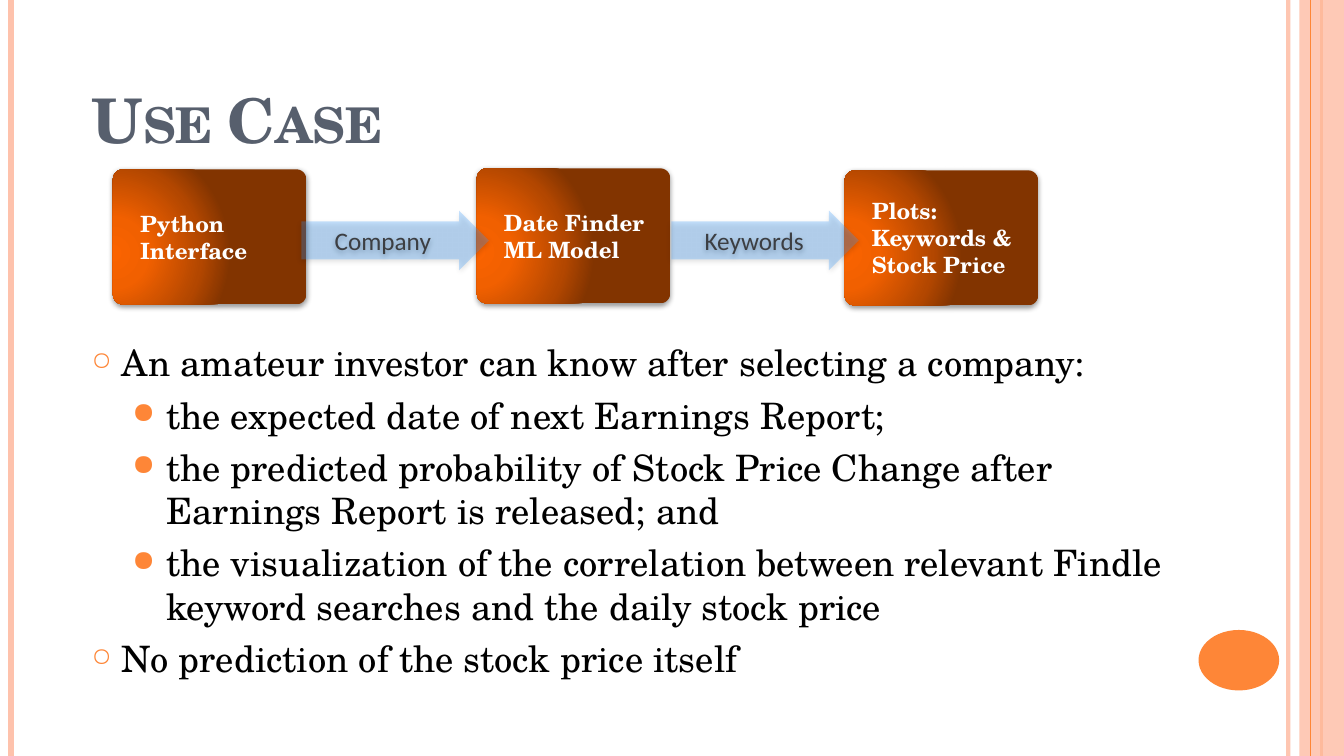
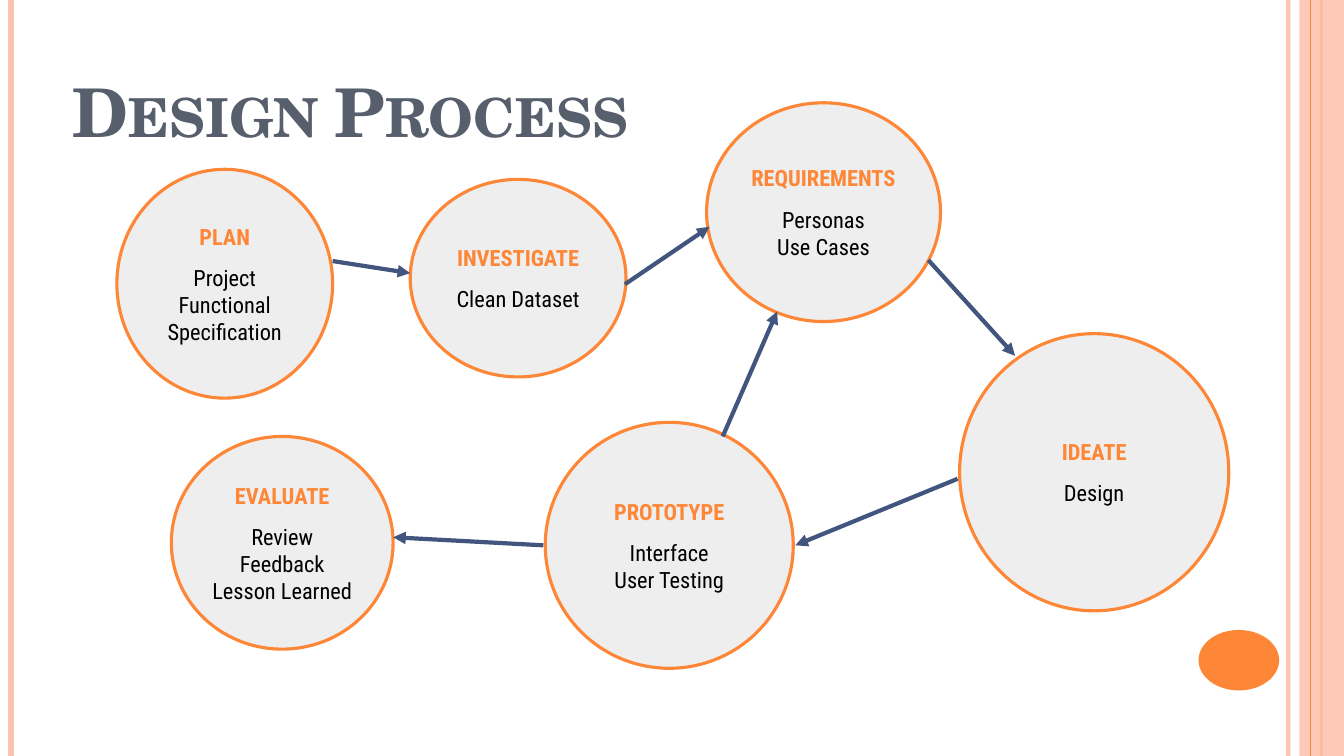
from lxml import etree
from pptx import Presentation, util as u
from pptx.dml.color import RGBColor
from pptx.enum import shapes, text
from pptx.oxml import parse_xml
from pptx.oxml.ns import qn

ORANGE = RGBColor(0xFE, 0x86, 0x37)
PEACH = RGBColor(0xFE, 0xC2, 0xAC)
SLATE = RGBColor(0x57, 0x5F, 0x6D)
NAVY = RGBColor(0x42, 0x55, 0x7F)
BLUE = RGBColor(0x33, 0x99, 0xFF)
GREY = RGBColor(0xEE, 0xEE, 0xEE)
DARK = RGBColor(0x3C, 0x3E, 0x42)
BLACK = RGBColor(0, 0, 0)
WHITE = RGBColor(255, 255, 255)
GLOW = [(0, "FA6300"), (30, "F16000"), (75, "B34700"), (100, "823400")]

SERIF, SANS, NARROW = "TeX Gyre Schola", "Calibri", "Roboto Condensed"
KIND = shapes.MSO_SHAPE
MID, LOW, TOP = (text.MSO_ANCHOR.MIDDLE, text.MSO_ANCHOR.BOTTOM,
                 text.MSO_ANCHOR.TOP)
LEFT, MIDDLE = text.PP_ALIGN.LEFT, text.PP_ALIGN.CENTER
DRAW = "http://schemas.openxmlformats.org/drawingml/2006/main"

# Grid: ten columns and ten rows to the inch
COLS, ROWS = 133.33, 75


def grid(n):
    return u.Inches(n / 10)


def within(box, x, y):
    return box[0] + x, box[1] + y


# Shared helpers
def fade(fill, share):
    color = fill._xPr.find(".//" + qn("a:srgbClr"))
    etree.SubElement(color, qn("a:alpha"), val=str(share * 1000))


def shade(shape):
    shape._element.spPr.append(parse_xml(
        f'<a:effectLst xmlns:a="{DRAW}"><a:outerShdw blurRad="50800" '
        'dist="20320" dir="5400000" rotWithShape="0"><a:srgbClr val="000000">'
        '<a:alpha val="42000"/></a:srgbClr></a:outerShdw></a:effectLst>'))


def glow(shape):
    stops = "".join(f'<a:gs pos="{at * 1000}"><a:srgbClr val="{c}"/></a:gs>'
                    for at, c in GLOW)
    shape._element.spPr.find(qn("a:prstGeom")).addnext(parse_xml(
        f'<a:gradFill xmlns:a="{DRAW}" rotWithShape="1"><a:gsLst>{stops}'
        '</a:gsLst><a:path path="circle"><a:fillToRect l="-20000" t="62000" '
        'r="120000" b="38000"/></a:path></a:gradFill>'))


def solid(slide, kind, box, color=None, edge=None, soft=False):
    shape = slide.shapes.add_shape(kind, *map(grid, box))
    if color is not None:
        shape.fill.solid()
        shape.fill.fore_color.rgb = color
    if edge is None:
        shape.line.fill.background()
    else:
        shape.line.color.rgb = edge
        shape.line.width = u.Pt(2.25)
    if soft:
        shade(shape)
    else:
        shape.shadow.inherit = False
    return shape


def line(slide, start, end, color, width, arrow=False):
    link = slide.shapes.add_connector(
        shapes.MSO_CONNECTOR.STRAIGHT, *map(grid, (*start, *end)))
    link.line.color.rgb = color
    link.line.width = u.Pt(width)
    if arrow:
        etree.SubElement(link.line._ln, qn("a:tailEnd"), type="triangle")
    etree.SubElement(link._element.spPr, qn("a:effectLst"))
    return link


def style(para, font, size, color, bold=False, align=LEFT):
    para.alignment = align
    for run in para.runs:
        run.font.name, run.font.size = font, u.Pt(size)
        run.font.color.rgb, run.font.bold = color, bold


def write(shape, lines, anchor, pads):
    frame = shape.text_frame
    frame.word_wrap = True
    frame.vertical_anchor = anchor
    (frame.margin_left, frame.margin_top,
     frame.margin_right, frame.margin_bottom) = map(grid, pads)
    frame.text = "\n".join(lines)
    return frame.paragraphs


# Bands, rules and disc on every slide
def decor(slide):
    def rule(x, color, width):
        return line(slide, (x, 0), (x, ROWS), color, width)

    fade(rule(127.8, PEACH, 3).line.fill, 93)
    rule(1.1, PEACH, 4.5)
    rule(131.1, ORANGE, 1.5)
    band = solid(slide, KIND.RECTANGLE, (128.9, 0, COLS - 128.9, ROWS), PEACH)
    fade(band.fill, 87)
    rule(130, ORANGE, 0.75)
    solid(slide, KIND.OVAL, (118.9, 62.5, 8, 6), ORANGE)


def title(slide, box, words, size):
    label = slide.shapes.add_textbox(*map(grid, box))
    para = write(label, [words], LOW, [0.5] * 4)[0]
    style(para, SERIF, size, SLATE, True)
    para.runs[0].font._element.set("cap", "small")


# Cards joined by labelled block arrows
def flow(slide, box, cards, steps):
    for x, y, lines in cards:
        card = solid(slide, KIND.ROUNDED_RECTANGLE,
                     (*within(box, x, y), 19.2, 13.4), soft=True)
        card.adjustments[0] = 0.075
        glow(card)
        for para in write(card, lines, MID, (2.4, 0, 0, 0)):
            style(para, SERIF, 16, WHITE, True)
    for x, word in steps:
        step = solid(slide, KIND.RIGHT_ARROW,
                     (*within(box, x, 4.2), 18.6, 5.9), BLUE, soft=True)
        step.adjustments[0] = 0.64
        fade(step.fill, 28)
        style(write(step, [word], MID, (3.3, 0, 0, 0))[0], SANS, 18, DARK)


# Two-level bullet list
def points(slide, box, items):
    levels = [(0.3, -0.3, 70, "○"), (0.74, -0.34, 80, "●")]
    body = slide.shapes.add_textbox(*map(grid, box))
    paras = write(body, [words for _, words in items], TOP, [0.5] * 4)
    for para, (level, _) in zip(paras, items):
        margin, indent, size, sign = levels[level]
        style(para, SERIF, 26, BLACK)
        para.level = level
        para.space_before = u.Pt(6)
        props = para._p.get_or_add_pPr()
        props.set("marL", str(u.Inches(margin)))
        props.set("indent", str(u.Inches(indent)))
        color = etree.SubElement(props, qn("a:buClr"))
        etree.SubElement(color, qn("a:srgbClr"), val=str(ORANGE))
        etree.SubElement(props, qn("a:buSzPct"), val=str(size * 1000))
        etree.SubElement(props, qn("a:buChar"), char=sign)


# Circles linked by arrows
def cycle(slide, box, stages, links):
    for (x, y, w, h), head, lines in stages:
        disc = solid(slide, KIND.OVAL, (*within(box, x, y), w, h),
                     GREY, ORANGE)
        first, *rest = write(disc, [head, *lines], MID, (0.5, 0, 0.5, 0))
        style(first, NARROW, 16, ORANGE, True, MIDDLE)
        first.space_after = u.Pt(10.5)
        for para in rest:
            style(para, NARROW, 16, BLACK, align=MIDDLE)
    for start, end in links:
        line(slide, within(box, *start), within(box, *end), NAVY, 3, True)


def usage(slide):
    decor(slide)
    title(slide, (8.6, 3.4, 108.9, 12.5), "Use Case", 44)
    flow(slide, (11.2, 16.7), [
        (0, 0.1, ["Python Interface"]),
        (36.1, 0, ["Date Finder", "ML Model"]),
        (72.6, 0.2, ["Plots:", "Keywords &", "Stock Price"]),
    ], [(18.7, "Company"), (55.4, "Keywords")])
    points(slide, (8.6, 33.3, 108.9, 36.3), [
        (0, "An amateur investor can know after selecting a company:"),
        (1, "the expected date of next Earnings Report;"),
        (1, "the predicted probability of Stock Price Change after "
            "Earnings Report is released; and"),
        (1, "the visualization of the correlation between relevant Findle "
            "keyword searches and the daily stock price"),
        (0, "No prediction of the stock price itself"),
    ])


def process(slide):
    decor(slide)
    title(slide, (6.7, 3, 77.8, 12.5), "Design Process", 48)
    cycle(slide, (11.6, 10.2), [
        ((0, 6.6, 21.4, 22.7), "PLAN", ["Project Functional Specification"]),
        ((29.1, 7.6, 21.4, 19.6), "INVESTIGATE", ["Clean Dataset"]),
        ((58.5, 0, 23.2, 21.7), "REQUIREMENTS", ["Personas", "Use Cases"]),
        ((42.5, 31.7, 24.6, 24.4), "PROTOTYPE",
         ["Interface", "User Testing"]),
        ((5.4, 33.1, 22, 21.1), "EVALUATE",
         ["Review Feedback", "Lesson Learned"]),
        ((83.6, 22.9, 26.7, 27.5), "IDEATE", ["Design"]),
    ], [
        ((21.4, 15.7), (29.1, 16.9)),
        ((50.4, 18), (58.8, 12.3)),
        ((80.5, 15.6), (89.1, 25.1)),
        ((83.4, 37.3), (67.3, 43.9)),
        ((60.1, 33.1), (65.5, 20.7)),
        ((42.3, 43.9), (27.4, 43.1)),
    ])


def main():
    deck = Presentation()
    deck.slide_width, deck.slide_height = grid(COLS), grid(ROWS)
    for build in (usage, process):
        build(deck.slides.add_slide(deck.slide_layouts[6]))
    deck.save("out.pptx")


if __name__ == "__main__":
    main()
